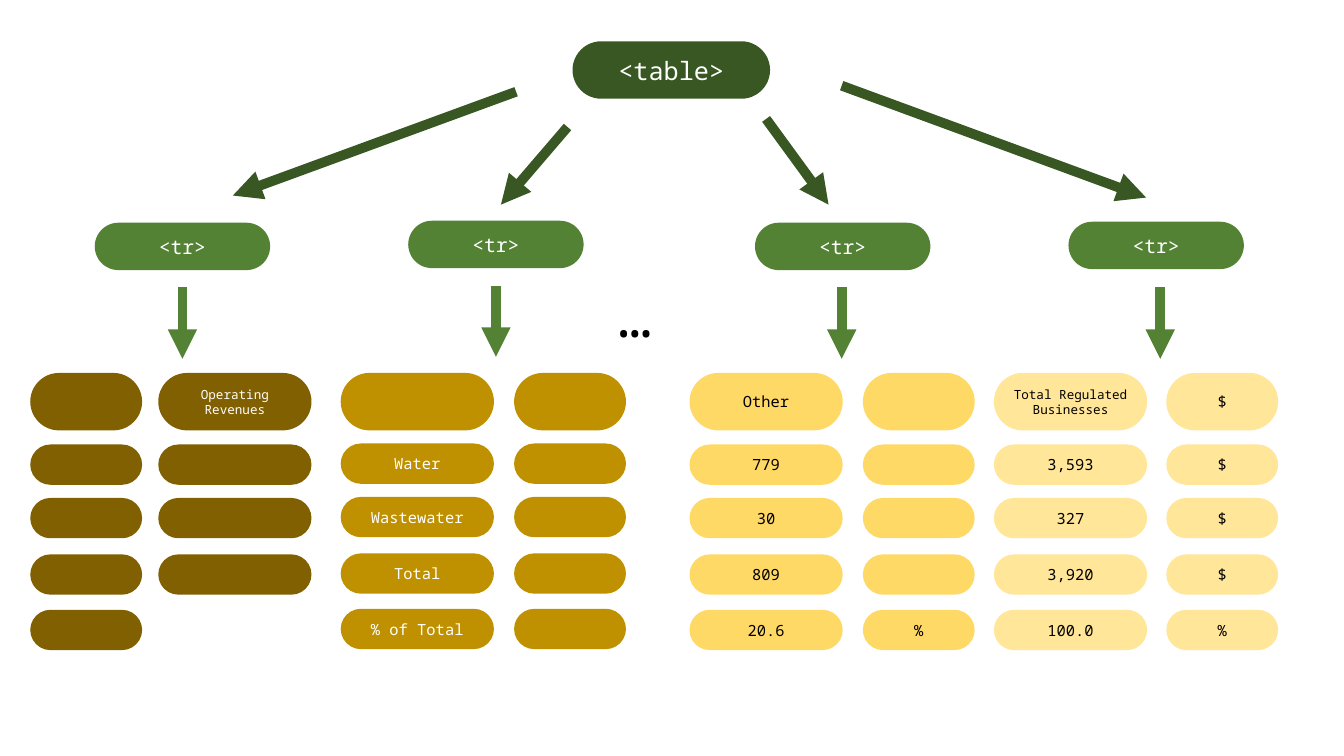
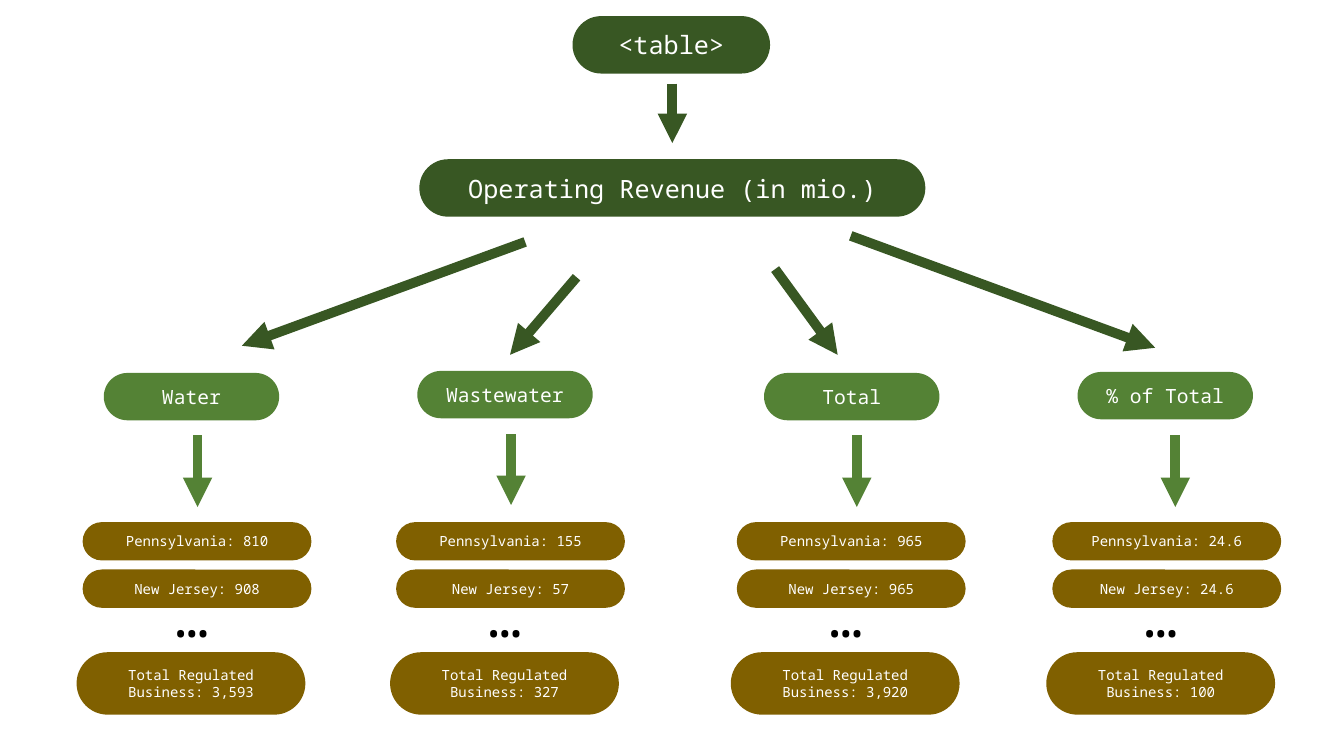
"""Two tree diagrams: a table by its markup rows, and by its meaning."""
from dataclasses import dataclass
from typing import Optional

from lxml import etree
from pptx import Presentation
from pptx.dml.color import RGBColor
from pptx.enum.shapes import MSO_CONNECTOR, MSO_SHAPE
from pptx.enum.text import MSO_ANCHOR, PP_ALIGN
from pptx.oxml.ns import qn
from pptx.slide import Slide
from pptx.util import Inches, Length, Pt

ROUND = MSO_SHAPE.ROUNDED_RECTANGLE
LINE = MSO_CONNECTOR.STRAIGHT
MIDDLE = MSO_ANCHOR.MIDDLE
CENTER = PP_ALIGN.CENTER

FONT = "Noto Sans Mono"
COLS, ROWS = 133.33, 75
HEX = {
    "root": "385723", "tag": "548235", "brown": "806000", "gold": "BF9000",
    "sun": "FFD966", "cream": "FFE699", "white": "FFFFFF", "black": "000000",
}


@dataclass(frozen=True)
class Box:
    left: float
    top: float
    wide: float
    high: float


@dataclass(frozen=True)
class Branch:
    start: tuple[float, float]
    end: tuple[float, float]
    tag: tuple[float, float]
    stem: tuple[float, float, float]


@dataclass(frozen=True)
class Group:
    fill: str
    ink: str
    wide: float
    slim: float
    lift: float
    cells: tuple[tuple[Optional[str], str], ...]


@dataclass(frozen=True)
class Leaf:
    left: float
    name: str
    first: str
    next: str
    total: str


BRANCHES = (
    Branch((51.2, 9.1), (23.1, 19.4), (9.4, 22.1), (18.1, 28.5, 7.1)),
    Branch((56.3, 12.6), (49.7, 20.3), (40.5, 21.9), (49.2, 28.4, 7)),
    Branch((76, 11.8), (82.2, 20.3), (74.9, 22.1), (83.5, 28.5, 7.1)),
    Branch((83.5, 8.5), (113.7, 19.6), (106, 22), (115.1, 28.5, 7.1)),
)
BANDS = ((37, 5.7), (44.1, 4), (49.4, 4), (55, 4), (60.5, 4))
GROUPS = (
    Group("brown", "white", 15.7, 3, 0, (
        ("Operating Revenues", ""), ("", ""), ("", ""), ("", ""), (None, ""))),
    Group("gold", "white", 33.8, 51, 0.1, (
        ("", ""), ("Water", ""), ("Wastewater", ""), ("Total", ""),
        ("% of Total", ""))),
    Group("sun", "black", 68.4, 85.6, 0, (
        ("Other", ""), ("779", ""), ("30", ""), ("809", ""), ("20.6", "%"))),
    Group("cream", "black", 98.6, 115.7, 0, (
        ("Total Regulated Businesses", "$"), ("3,593", "$"), ("327", "$"),
        ("3,920", "$"), ("100.0", "%"))),
)
LEAVES = (
    Leaf(8.2, "Water", "810", "908", "3,593"),
    Leaf(39.3, "Wastewater", "155", "57", "327"),
    Leaf(73.1, "Total", "965", "965", "3,920"),
    Leaf(104.4, "% of Total", "24.6", "24.6", "100"),
)


def unit(count: float) -> Length:
    """Turn grid columns or rows into a length."""
    return Inches(count / 10)


def pill(slide: Slide, box: Box, text: str, size: float,
         fill: Optional[str], ink: str = "white") -> None:
    """Draw a fully rounded box with centred text."""
    shape = slide.shapes.add_shape(
        ROUND, unit(box.left), unit(box.top), unit(box.wide), unit(box.high))
    shape.adjustments[0] = 0.5
    shape.shadow.inherit = False
    shape.line.fill.background()
    if fill:
        shape.fill.solid()
        shape.fill.fore_color.rgb = RGBColor.from_string(HEX[fill])
    else:
        shape.fill.background()
    if not text:
        return
    frame = shape.text_frame
    frame.word_wrap = True
    frame.vertical_anchor = MIDDLE
    para = frame.paragraphs[0]
    para.alignment = CENTER
    run = para.add_run()
    run.text = text
    run.font.name = FONT
    run.font.size = Pt(size)
    run.font.color.rgb = RGBColor.from_string(HEX[ink])


def arrow(slide: Slide, start: tuple[float, float],
          end: tuple[float, float], color: str) -> None:
    """Draw a thick straight arrow."""
    link = slide.shapes.add_connector(
        LINE, *(unit(n) for n in (*start, *end)))
    link.line.width = Pt(7)
    link.line.color.rgb = RGBColor.from_string(HEX[color])
    props = link.element.spPr
    etree.SubElement(props.find(qn("a:ln")), qn("a:tailEnd"), type="triangle")
    etree.SubElement(props, qn("a:effectLst"))


def dots(slide: Slide, left: float, top: float) -> None:
    """Draw the mark for items left out."""
    pill(slide, Box(left, top, 13.9, 10.9), "…", 40, None, "black")


def root(slide: Slide, top: float) -> None:
    """Draw the node at the top of the tree."""
    pill(slide, Box(56.8, top, 19.6, 5.7), "<table>", 18, "root")


def fan(slide: Slide, names: list[str], shift: tuple[float, float] = (0, 0),
        slide_by: tuple[float, float] = (0, 0)) -> None:
    """Draw the four branches, with tags and stems, moved as asked."""
    right, down = shift
    for branch, name in zip(BRANCHES, names):
        start, end, tag = (
            (x + right, y + down)
            for x, y in (branch.start, branch.end, branch.tag))
        arrow(slide, start, end, "root")
        pill(slide, Box(*tag, 17.4, 4.7), name, 14, "tag")
        x, y, drop = branch.stem
        x, y = x + slide_by[0], y + slide_by[1]
        arrow(slide, (x, y), (x, y + drop), "tag")


def markup(slide: Slide) -> None:
    """Draw the tree of rows and cells."""
    root(slide, 4.1)
    fan(slide, ["<tr>"] * len(BRANCHES))
    dots(slide, 56.1, 25.8)
    for group in GROUPS:
        for row, ((top, high), pair) in enumerate(zip(BANDS, group.cells)):
            top -= group.lift if row else 0
            spans = ((group.wide, 15.2), (group.slim, 11.1))
            for (left, wide), text in zip(spans, pair):
                if text is not None:
                    size = 9 if len(text) > 12 else 11
                    pill(slide, Box(left, top, wide, high), text, size,
                         group.fill, group.ink)


def meaning(slide: Slide) -> None:
    """Draw the tree of measures and states."""
    root(slide, 1.6)
    arrow(slide, (66.7, 8.3), (66.7, 14.2), "root")
    pill(slide, Box(41.6, 15.8, 50.2, 5.7), "Operating Revenue (in mio.)",
         18, "root")
    fan(slide, [leaf.name for leaf in LEAVES], (0.9, 14.9), (1.5, 14.7))
    for leaf in LEAVES:
        dots(slide, leaf.left + 3.9, 55.6)
        items = (
            (0, 51.8, 3.8, f"Pennsylvania: {leaf.first}"),
            (0, 56.5, 3.8, f"New Jersey: {leaf.next}"),
            (-0.6, 64.7, 6.2, f"Total Regulated Business: {leaf.total}"),
        )
        for move, top, high, text in items:
            pill(slide, Box(leaf.left + move, top, 22.7, high), text, 10,
                 "brown")


def main() -> None:
    """Build and save the deck."""
    deck = Presentation()
    deck.slide_width, deck.slide_height = unit(COLS), unit(ROWS)
    blank = deck.slide_layouts.get_by_name("Blank")
    for draw in (markup, meaning):
        draw(deck.slides.add_slide(blank))
    deck.save("out.pptx")


if __name__ == "__main__":
    main()
